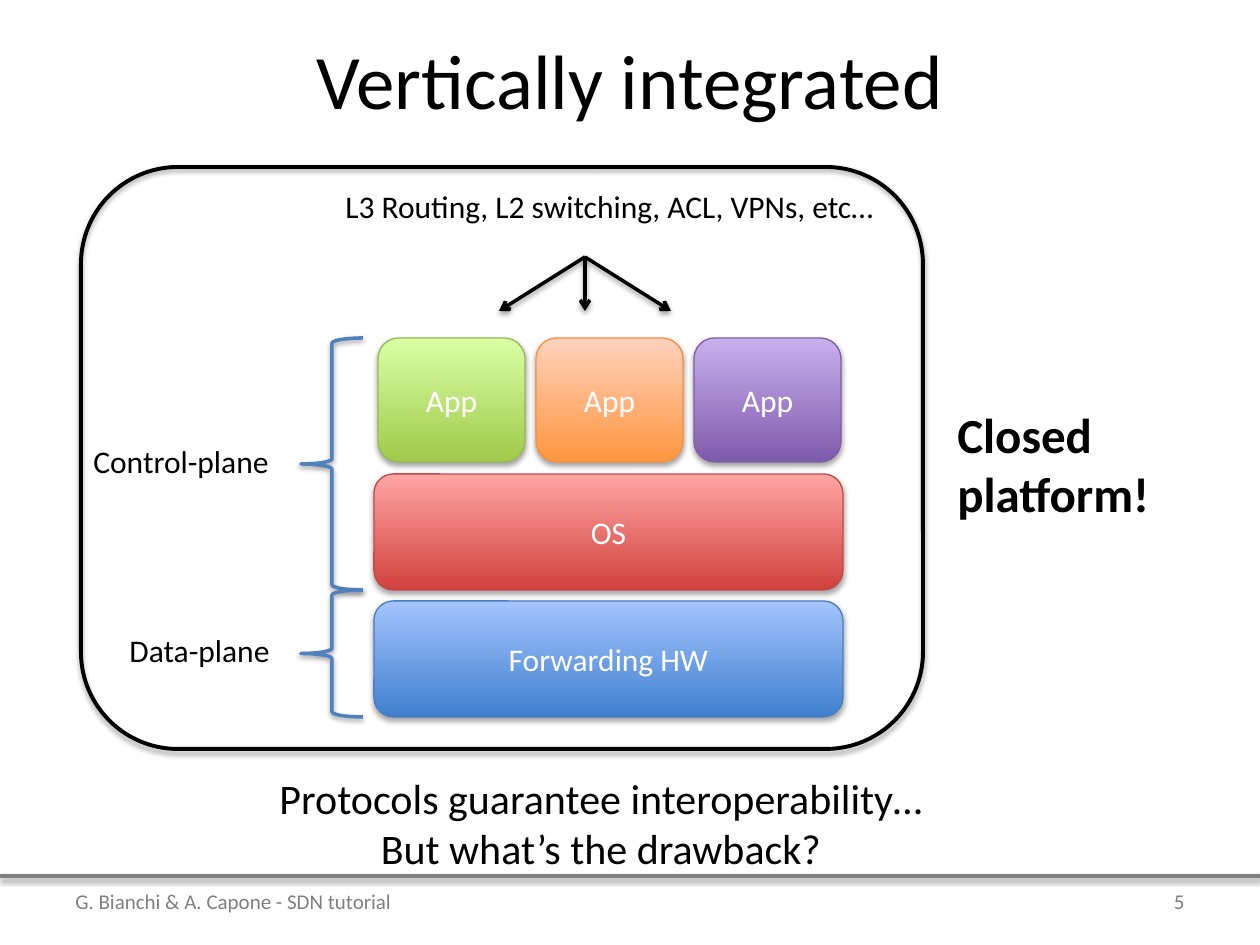
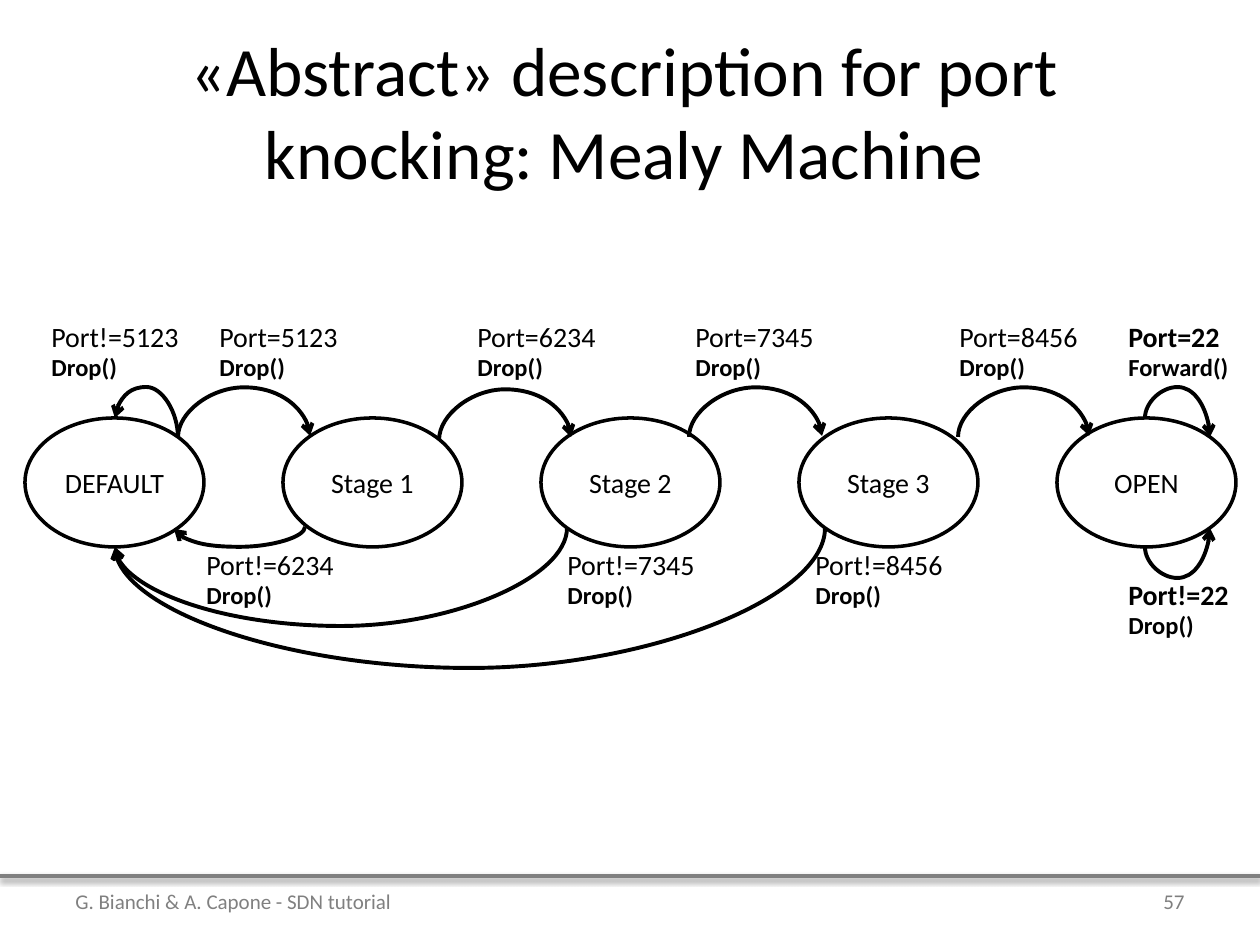
"""Build two SDN tutorial slides: the integrated platform and the port knocking machine."""
from pptx import Presentation
from pptx.dml.color import RGBColor
from pptx.enum.shapes import MSO_CONNECTOR as CONN, MSO_SHAPE as SHAPE
from pptx.enum.text import MSO_ANCHOR as ANCHOR, MSO_AUTO_SIZE as FIT, PP_ALIGN as ALIGN
from pptx.oxml import parse_xml
from pptx.oxml.ns import nsdecls, qn
from pptx.util import Emu, Pt

PX = 914400 / 126
WIDTH, HEIGHT, FOOT_Y = 1260, 945, 876
BLACK = RGBColor(0, 0, 0)
WHITE = RGBColor(255, 255, 255)
GRAY = RGBColor(0x80, 0x80, 0x80)
NUMBER_GRAY = RGBColor(0x7F, 0x7F, 0x7F)
BRACE_BLUE = RGBColor(0x4F, 0x81, 0xBD)
BLUE = [RGBColor.from_string(c) for c in ("3F80CE", "A4C4FF", "4B7EBC")]
RED = [RGBColor.from_string(c) for c in ("D1403C", "FFA6A5", "BF4C48")]
GREEN = [RGBColor.from_string(c) for c in ("A0CA4A", "DAFFA5", "98B955")]
ORANGE = [RGBColor.from_string(c) for c in ("FF953E", "FFD2BD", "F69240")]
PURPLE = [RGBColor.from_string(c) for c in ("7F5BAB", "C8B0ED", "7D60A0")]
LINE_SHADOW = (38000, 20000)
BLOCK_SHADOW = (35000, 23000)


def px(*values):
    return [Emu(round(v * PX)) for v in values]


def set_effects(sp, shadow=None):
    inner = ""
    if shadow:
        alpha, dist = shadow
        inner = (f'<a:outerShdw blurRad="40000" dist="{dist}" dir="5400000" rotWithShape="0">'
                 f'<a:srgbClr val="000000"><a:alpha val="{alpha}"/></a:srgbClr></a:outerShdw>')
    sp._element.spPr.append(parse_xml(f'<a:effectLst {nsdecls("a")}>{inner}</a:effectLst>'))


class Deck:
    def __init__(self):
        self.prs = Presentation()
        self.prs.slide_width, self.prs.slide_height = px(WIDTH, HEIGHT)
        self.font = "Calibri"

    def new_slide(self, title, box, size, number):
        self.s = self.prs.slides.add_slide(self.prs.slide_layouts[6])
        self.line((0, FOOT_Y), (WIDTH, FOOT_Y), GRAY)
        self.text(box, [title], size=size, align=ALIGN.CENTER, anchor=ANCHOR.MIDDLE)
        self.text((63, FOOT_Y, 766, 50), ["G. Bianchi & A. Capone - SDN tutorial"],
                  size=12, color=GRAY, anchor=ANCHOR.MIDDLE)
        self.text((903, FOOT_Y, 294, 50), [number], size=12, color=NUMBER_GRAY,
                  align=ALIGN.RIGHT, anchor=ANCHOR.MIDDLE)

    def set_lines(self, tf, lines, size=18, color=BLACK, align=ALIGN.LEFT, spacing=None, **fmt):
        for i, line in enumerate(lines):
            text, own = line if isinstance(line, tuple) else (line, {})
            p = tf.paragraphs[0] if i == 0 else tf.add_paragraph()
            p.text, p.alignment = text, align
            if spacing:
                p.line_spacing = Pt(spacing)
            style = {"name": self.font, "size": Pt(size), **fmt, **own}
            for r in p.runs:
                for key, value in style.items():
                    setattr(r.font, key, value)
                r.font.color.rgb = color

    def text(self, box, lines, anchor=ANCHOR.TOP, wrap=True, **style):
        tf = self.s.shapes.add_textbox(*px(*box)).text_frame
        tf.word_wrap, tf.vertical_anchor = wrap, anchor
        if not wrap:
            tf.auto_size = FIT.SHAPE_TO_FIT_TEXT
        self.set_lines(tf, lines, **style)

    def shape(self, kind, box, color=BLACK, width=2, label=None, ink=BLACK, size=18,
              gradient=None, shadow=None):
        sp = self.s.shapes.add_shape(kind, *px(*box))
        if gradient:
            sp.fill.gradient()
            sp.fill.gradient_angle = 90
            for stop, rgb in zip(sp.fill.gradient_stops, gradient):
                stop.color.rgb = rgb
        else:
            sp.fill.background()
        sp.line.color.rgb, sp.line.width = color, Pt(width)
        set_effects(sp, shadow)
        if label:
            tf = sp.text_frame
            tf.vertical_anchor = ANCHOR.MIDDLE
            self.set_lines(tf, [label], size=size, color=ink, align=ALIGN.CENTER)

    def block(self, box, label, colors):
        self.shape(SHAPE.ROUNDED_RECTANGLE, box, colors[2], 0.75, label, WHITE,
                   gradient=colors[:2], shadow=BLOCK_SHADOW)

    def line(self, start, end, color=BLACK, width=2, arrow=False, kind=CONN.STRAIGHT,
             shadow=LINE_SHADOW):
        c = self.s.shapes.add_connector(kind, *px(*start, *end))
        c.line.color.rgb, c.line.width = color, Pt(width)
        if arrow:
            c._element.spPr.find(qn("a:ln")).append(
                parse_xml(f'<a:tailEnd {nsdecls("a")} type="arrow"/>'))
        set_effects(c, shadow)
        return c

    def arc(self, start, end, bulge):
        """Draw a curved arrow that leaves and arrives vertically, turning at y = bulge."""
        (x1, y1), (x2, y2) = start, end
        c = self.line(start, end, width=2.25, arrow=True, kind=CONN.CURVE, shadow=None)
        w, h = abs(y2 - y1), abs(x2 - x1)
        c.left, c.top, c.width, c.height = px((x1 + x2 - w) / 2, (y1 + y2 - h) / 2, w, h)
        xfrm = c._element.spPr.find(qn("a:xfrm"))
        for key, value in {"rot": 5400000, "flipH": int(y2 < y1), "flipV": int(x2 > x1)}.items():
            xfrm.set(key, str(value))
        turn = round((bulge - y1) / (y2 - y1) * 100000)
        geom = c._element.spPr.find(qn("a:prstGeom"))
        for old in list(geom):
            geom.remove(old)
        geom.append(parse_xml(f'<a:avLst {nsdecls("a")}>'
                              f'<a:gd name="adj1" fmla="val {turn}"/></a:avLst>'))

    def transition(self, x, y, width, event, action, bold=False):
        self.text((x, y, width, 69),
                  [(event, {"size": Pt(16), "bold": bold}),
                   (action, {"size": Pt(14), "bold": True})],
                  wrap=False, spacing=16)


def platform_slide(deck):
    deck.new_slide("Vertically integrated", (63, 0, 1134, 158), 44, "5")
    deck.block((374, 601, 469, 116), "Forwarding HW", BLUE)
    deck.block((374, 474, 469, 116), "OS", RED)
    for i, colors in enumerate((GREEN, ORANGE, PURPLE)):
        deck.block((378 + 158 * i, 338, 147, 124), "App", colors)
    deck.text((333, 181, 562, 50), ["L3 Routing, L2 switching, ACL, VPNs, etc…"], wrap=False)
    for x in (499, 585, 671):
        deck.line((585, 257), (x, 311), arrow=True)
    for y, h in ((338, 252), (590, 127)):
        deck.shape(SHAPE.LEFT_BRACE, (301, y, 62, h), BRACE_BLUE, shadow=LINE_SHADOW)
    deck.text((81, 436, 203, 50), ["Control-plane"], wrap=False)
    deck.text((117, 625, 168, 50), ["Data-plane"], wrap=False)
    deck.shape(SHAPE.ROUNDED_RECTANGLE, (81, 167, 842, 582), width=2.25, shadow=BLOCK_SHADOW)
    deck.text((945, 398, 241, 145), ["Closed platform!"], size=28, bold=True)
    deck.text((106, 766, 990, 115),
              ["Protocols guarantee interoperability…\nBut what’s the drawback?"],
              size=24, align=ALIGN.CENTER)


def machine_slide(deck):
    deck.new_slide("«Abstract» description for port knocking: Mealy Machine",
                   (94, 66, 1061, 89), 39.6, "57")
    for i, state in enumerate(("DEFAULT", "Stage 1", "Stage 2", "Stage 3", "OPEN")):
        deck.shape(SHAPE.OVAL, (25 + 258 * i, 418, 179, 129), label=state, size=16)
    forward = [((178, 437), (310, 436), 387), ((439, 440), (571, 437), 389),
               ((689, 437), (822, 436), 387), ((958, 437), (1089, 436), 387)]
    back = [((305, 527), (174, 529), 547), ((567, 528), (115, 547), 626),
            ((825, 528), (115, 547), 668)]
    loops = [((178, 437), (115, 418), 387), ((1145, 418), (1210, 437), 387),
             ((1145, 547), (1210, 528), 578)]
    for start, end, bulge in forward + back + loops:
        deck.arc(start, end, bulge)
    for x, port in ((207, 5123), (465, 6234), (683, 7345), (947, 8456)):
        deck.transition(x, 319, 145, f"Port={port}", "Drop()")
    for x, y, port in ((39, 319, 5123), (194, 547, 6234), (555, 547, 7345), (803, 547, 8456)):
        deck.transition(x, y, 155, f"Port!={port}", "Drop()")
    deck.transition(1116, 319, 126, "Port=22", "Forward()", bold=True)
    deck.transition(1116, 577, 127, "Port!=22", "Drop()", bold=True)


def main():
    deck = Deck()
    platform_slide(deck)
    machine_slide(deck)
    deck.prs.save("out.pptx")


if __name__ == "__main__":
    main()
